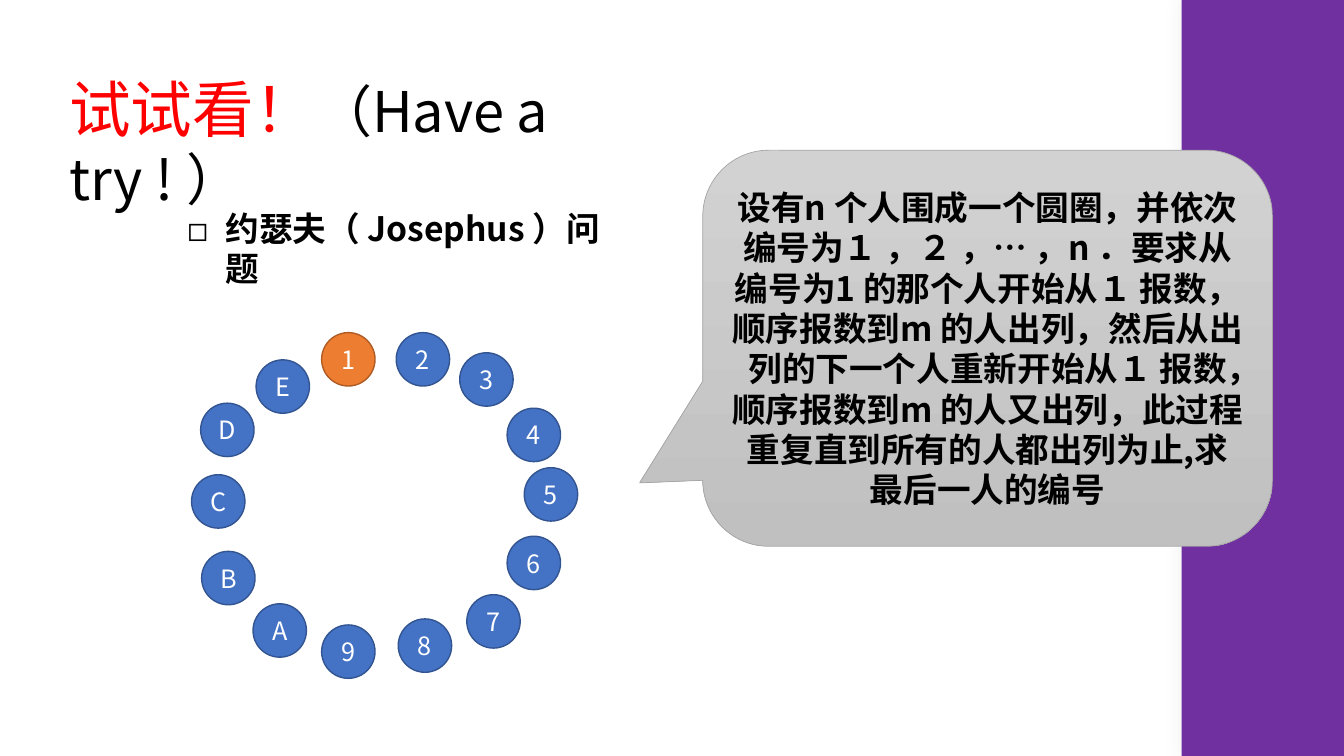
from lxml import etree
from pptx import Presentation
from pptx.dml.color import RGBColor
from pptx.enum import shapes, text
from pptx.oxml.ns import qn
from pptx.util import Inches, Pt

FONT = "Noto Sans CJK SC"


def rgb(value):
    return RGBColor.from_string(value)


def style(run, size, color, bold=False):
    run.font.size = Pt(size)
    run.font.bold = bold
    run.font.color.rgb = rgb(color)
    run.font.name = FONT
    etree.SubElement(run.font._element, qn("a:ea"), typeface=FONT)


deck = Presentation()
deck.slide_width, deck.slide_height = Inches(13.33), Inches(7.5)
slide = deck.slides.add_slide(deck.slide_layouts[6])
parts = slide.shapes

# Purple side band with a soft edge
band = parts.add_shape(shapes.MSO_SHAPE.RECTANGLE,
                       Inches(11.72), 0, Inches(1.61), Inches(7.5))
band.fill.solid()
band.fill.fore_color.rgb = rgb("7030A0")
band.line.fill.background()
effects = etree.SubElement(band._element.spPr, qn("a:effectLst"))
glow = etree.SubElement(effects, qn("a:outerShdw"), blurRad=str(Pt(10)), dist="0", dir="0")
tint = etree.SubElement(glow, qn("a:srgbClr"), val="D5D7D5")
etree.SubElement(tint, qn("a:alpha"), val="40000")

# Title
title = parts.add_textbox(Inches(0.59), Inches(0.65), Inches(6.44), Inches(0.84))
title.text_frame.word_wrap = True
heading = title.text_frame.paragraphs[0]
for words, size, color in [("试试看！", 44, "FF0000"), ("（Have a try ! ）", 40, "000000")]:
    run = heading.add_run()
    run.text = words
    style(run, size, color)

# Problem name with a square bullet
problem = parts.add_textbox(Inches(1.76), Inches(2.01), Inches(4.37), Inches(0.5))
problem.text_frame.word_wrap = True
problem.text_frame.text = "约瑟夫（ Josephus ）问题"
item = problem.text_frame.paragraphs[0]
style(item.runs[0], 24, "000000", True)
bullet = item._p.get_or_add_pPr()
bullet.set("marL", str(Inches(0.38)))
bullet.set("indent", str(-Inches(0.38)))
etree.SubElement(bullet, qn("a:buFont"), typeface=FONT)
etree.SubElement(bullet, qn("a:buChar"), char="◻")

# Circle of people, clockwise from the first to count
people = [
    ("1", 3.19, 3.3), ("2", 3.93, 3.3), ("3", 4.56, 3.5), ("4", 5.03, 4.05),
    ("5", 5.2, 4.64), ("6", 5.03, 5.32), ("7", 4.63, 5.9), ("8", 3.95, 6.14),
    ("9", 3.19, 6.2), ("A", 2.51, 5.99), ("B", 2, 5.47), ("C", 1.9, 4.71),
    ("D", 1.99, 4), ("E", 2.54, 3.57),
]
for label, left, top in people:
    fill, edge = ("ED7D31", "AF5C24") if label == "1" else ("4472C4", "325491")
    person = parts.add_shape(shapes.MSO_SHAPE.OVAL, Inches(left), Inches(top),
                             Inches(0.53), Inches(0.53))
    person.shadow.inherit = False
    person.fill.solid()
    person.fill.fore_color.rgb = rgb(fill)
    person.line.color.rgb = rgb(edge)
    person.line.width = Pt(1)
    person.text_frame.text = label
    person.text_frame.vertical_anchor = text.MSO_ANCHOR.MIDDLE
    person.text_frame.paragraphs[0].alignment = text.PP_ALIGN.CENTER
    style(person.text_frame.paragraphs[0].runs[0], 18, "FFFFFF")

# Callout with the statement of the problem
callout = parts.add_shape(shapes.MSO_SHAPE.ROUNDED_RECTANGULAR_CALLOUT,
                          Inches(6.97), Inches(1.49), Inches(5.65), Inches(3.93))
for index, value in enumerate([-0.611, 0.34, 0.167]):
    callout.adjustments[index] = value
callout.shadow.inherit = False
callout.fill.gradient()
callout.fill.gradient_angle = 270
for stop, color in zip(callout.fill.gradient_stops, ["D2D2D2", "C0C0C0"]):
    stop.color.rgb = rgb(color)
callout.line.color.rgb = rgb("A5A5A5")
callout.line.width = Pt(0.5)
statement = callout.text_frame
statement.word_wrap = True
statement.vertical_anchor = text.MSO_ANCHOR.MIDDLE
statement.text = (
    "设有n 个人围成一个圆圈，并依次编号为１ ，２ ，⋯ ，n ．要求"
    "从编号为1 的那个人开始从１ 报数，顺序报数到m 的人出列，"
    "然后从出列的下一个人重新开始从１ 报数，顺序报数到m 的人又出列，"
    "此过程重复直到所有的人都出列为止,求最后一人的编号"
)
statement.paragraphs[0].alignment = text.PP_ALIGN.CENTER
style(statement.paragraphs[0].runs[0], 24, "000000", True)

deck.save("out.pptx")
